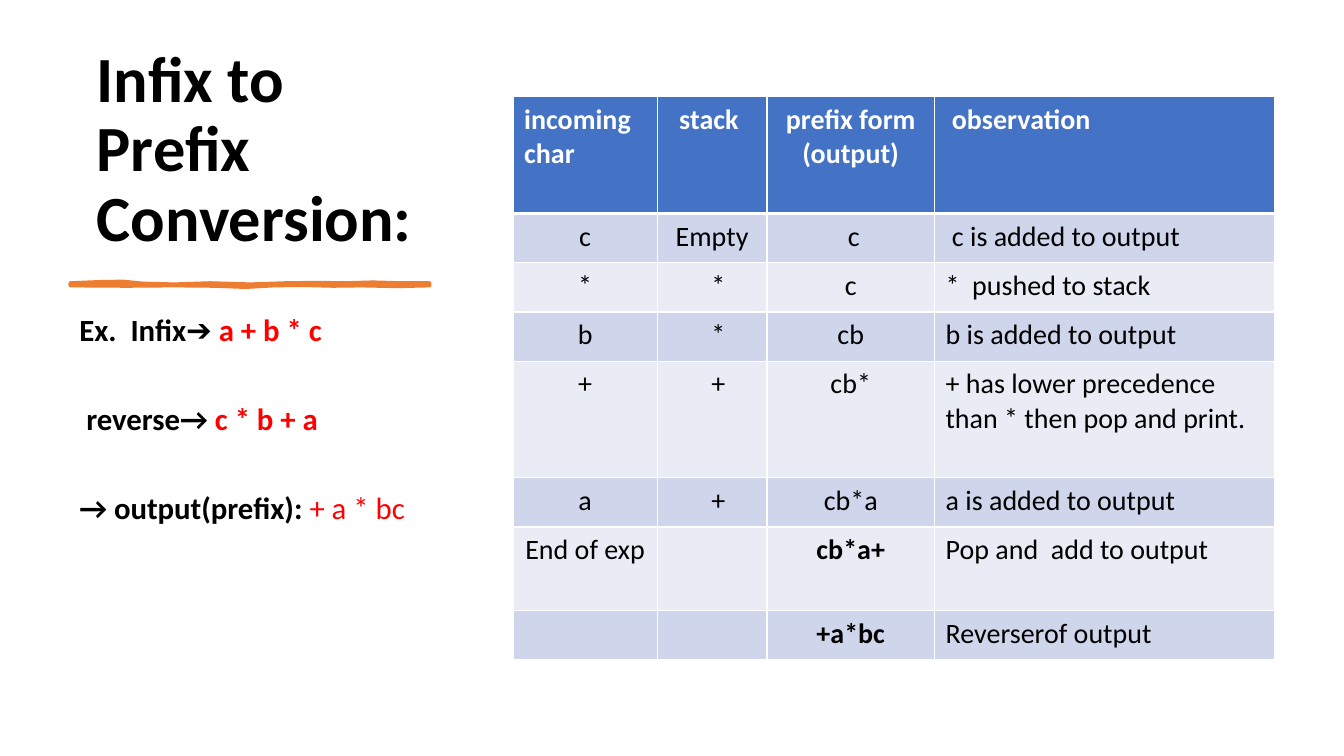
from lxml.etree import SubElement
from pptx import Presentation
from pptx.dml.color import RGBColor
from pptx.enum.text import MSO_ANCHOR, PP_ALIGN
from pptx.oxml.ns import qn
from pptx.util import Cm, Pt

BLACK, WHITE, RED = "000000", "FFFFFF", "FF0000"
HEADER_BLUE, ORANGE = "4472C4", "ED7D31"
BANDS = ("CFD5EA", "E9EBF5")


def color(hex_code):
    return RGBColor.from_string(hex_code)


def write(paragraph, text, size=20, ink=BLACK, bold=False, font="Calibri",
          align=PP_ALIGN.LEFT, line=None, after=None):
    paragraph.alignment = align
    if line is not None:
        paragraph.line_spacing = line
    if after is not None:
        paragraph.space_after = Pt(after)
    run = paragraph.add_run()
    run.text = text
    run.font.size = Pt(size)
    run.font.name = font
    run.font.bold = bold
    run.font.color.rgb = color(ink)


class ConversionSlide:
    def __init__(self, presentation):
        self.slide = presentation.slides.add_slide(presentation.slide_layouts[6])
        self.inset = 0.28, 0.15

    def text(self, left, top, width, height, paragraphs, size, after=8,
             anchor=MSO_ANCHOR.TOP, indent=0.25):
        frame = self.slide.shapes.add_textbox(
            Cm(left), Cm(top), Cm(width), Cm(height)).text_frame
        frame.word_wrap = True
        frame.vertical_anchor = anchor
        frame.margin_left = Cm(indent)
        for index, pieces in enumerate(paragraphs):
            paragraph = frame.add_paragraph() if index else frame.paragraphs[0]
            for words, ink, bold in pieces:
                write(paragraph, words, size=size, ink=ink, bold=bold,
                      line=0.9, after=after)

    def brush_stroke(self, outline, ink, weight):
        points = [(Cm(x), Cm(y)) for x, y in outline]
        builder = self.slide.shapes.build_freeform(*points[0])
        builder.add_line_segments(points[1:], close=True)
        stroke = builder.convert_to_shape()
        stroke.shadow.inherit = False
        stroke.fill.solid()
        stroke.fill.fore_color.rgb = color(ink)
        stroke.line.color.rgb = color(ink)
        stroke.line.width = Pt(weight)
        SubElement(stroke.line.fill._xPr, qn("a:round"))

    def borders(self, cell, bottom):
        properties = cell._tc.get_or_add_tcPr()
        for side, weight in (("L", 1), ("R", 1), ("T", 1), ("B", bottom)):
            edge = SubElement(properties, qn(f"a:ln{side}"), w=str(Pt(weight)))
            paint = SubElement(edge, qn("a:solidFill"))
            SubElement(paint, qn("a:srgbClr"), val=WHITE)

    def cell(self, cell, words, fill, ink, bold, align, bottom, shift):
        self.borders(cell, bottom)
        cell.fill.solid()
        cell.fill.fore_color.rgb = color(fill)
        side, edge = self.inset
        cell.margin_left, cell.margin_right = Cm(side + shift), Cm(side)
        cell.margin_top = cell.margin_bottom = Cm(edge)
        frame = cell.text_frame
        for index, line in enumerate(words.split("\n") if words else ()):
            paragraph = frame.add_paragraph() if index else frame.paragraphs[0]
            write(paragraph, line, ink=ink, bold=bold, align=align)

    def table(self, left, top, widths, heights, steps):
        table = self.slide.shapes.add_table(
            len(heights), len(widths), Cm(left), Cm(top),
            Cm(sum(widths)), Cm(sum(heights))).table
        for column, width in zip(table.columns, widths):
            column.width = Cm(width)
        for row, height in zip(table.rows, heights):
            row.height = Cm(height)
        for r, step in enumerate(steps):
            header = r == 0
            for c, words in enumerate(step):
                left_aligned = c == 3 or (header and c == 0)
                self.cell(
                    table.cell(r, c), words,
                    fill=HEADER_BLUE if header else BANDS[(r - 1) % 2],
                    ink=WHITE if header else BLACK,
                    bold=header or (c == 2 and r >= 6),
                    align=PP_ALIGN.LEFT if left_aligned else PP_ALIGN.CENTER,
                    bottom=3 if header else 1,
                    shift=0.32 if c == 1 and words in ("*", "+") else 0)


STROKE = [
    (1.78, 7.14), (2.5, 7.11), (3.1, 7.1), (3.6, 7.15), (4.4, 7.17),
    (5.3, 7.14), (6.3, 7.17), (7.2, 7.14), (8, 7.13), (8.7, 7.14),
    (9.4, 7.12), (10.1, 7.14), (10.82, 7.14), (10.82, 7.19), (10, 7.21),
    (9.1, 7.19), (8.4, 7.2), (7.6, 7.18), (6.9, 7.19), (6.2, 7.23),
    (5.4, 7.2), (4.4, 7.19), (3.2, 7.2), (1.78, 7.19),
]

STEPS = [
    ("incoming char", "stack ", "prefix form\n(output)", " observation"),
    ("c", "Empty", " c", " c is added to output"),
    ("*", "*", "c", "*  pushed to stack"),
    ("b", "*", "cb", "b is added to output"),
    ("+", "+", "cb*", "+ has lower precedence than * then pop and print."),
    ("a", "+", "cb*a", "a is added to output"),
    ("End of exp", "", "cb*a+", "Pop and  add to output"),
    ("", "", "+a*bc", "Reverserof output"),
]

EXAMPLE = [
    [("Ex.  Infix➔ ", BLACK, True), ("a + b * c", RED, True)],
    [(" reverse→ ", BLACK, True), ("c * b + a", RED, True)],
    [("→ output(prefix): ", BLACK, True), ("+ a * bc", RED, False)],
]


def main():
    presentation = Presentation()
    presentation.slide_width, presentation.slide_height = Cm(33.87), Cm(19.05)
    page = ConversionSlide(presentation)
    page.text(1.75, 1.78, 9.53, 4.78,
              [[("Infix to Prefix Conversion:", BLACK, True)]],
              size=46, anchor=MSO_ANCHOR.BOTTOM, indent=0.69)
    page.brush_stroke(STROKE, ORANGE, 3)
    page.text(1.75, 7.8, 9.53, 9.47, EXAMPLE, size=22, after=40)
    page.table(12.93, 2.44, (3.63, 2.77, 4.22, 8.56),
               (2.94, 1.24, 1.24, 1.24, 2.94, 1.24, 2.11, 1.24), STEPS)
    presentation.save("out.pptx")


if __name__ == "__main__":
    main()
